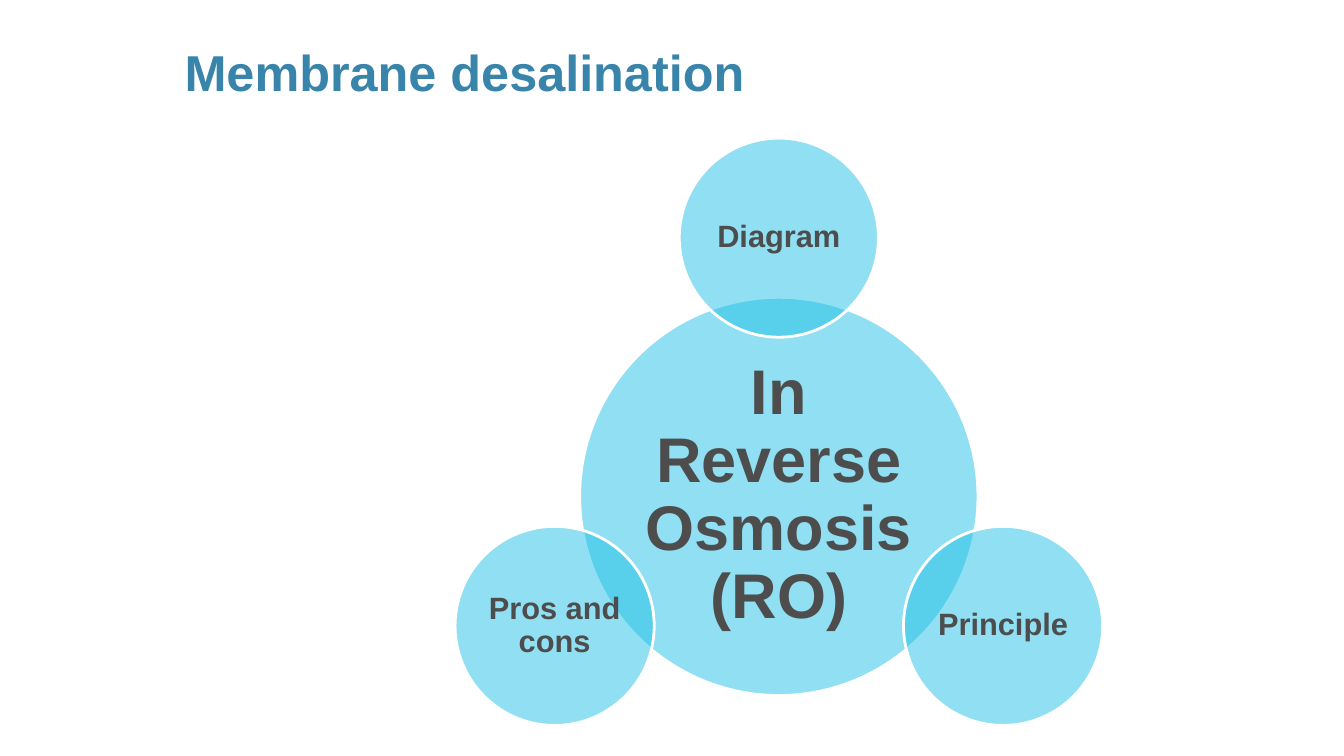
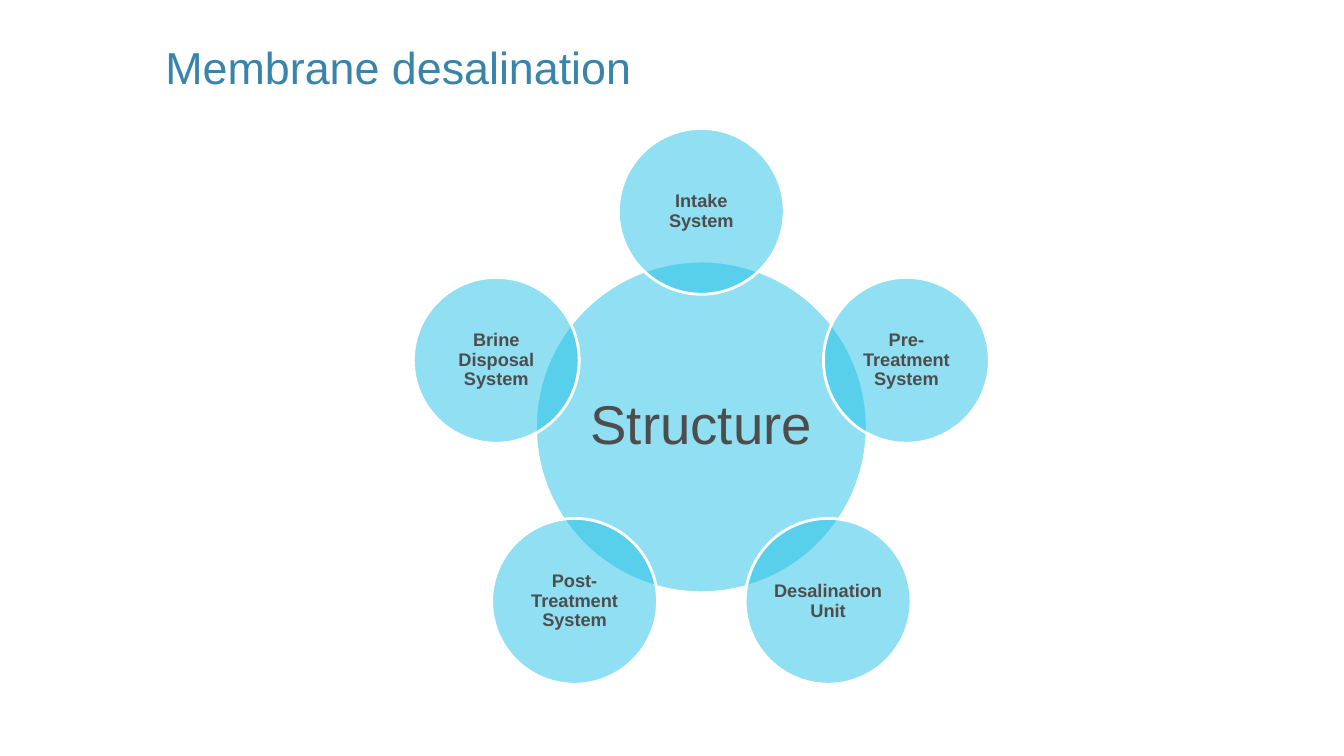
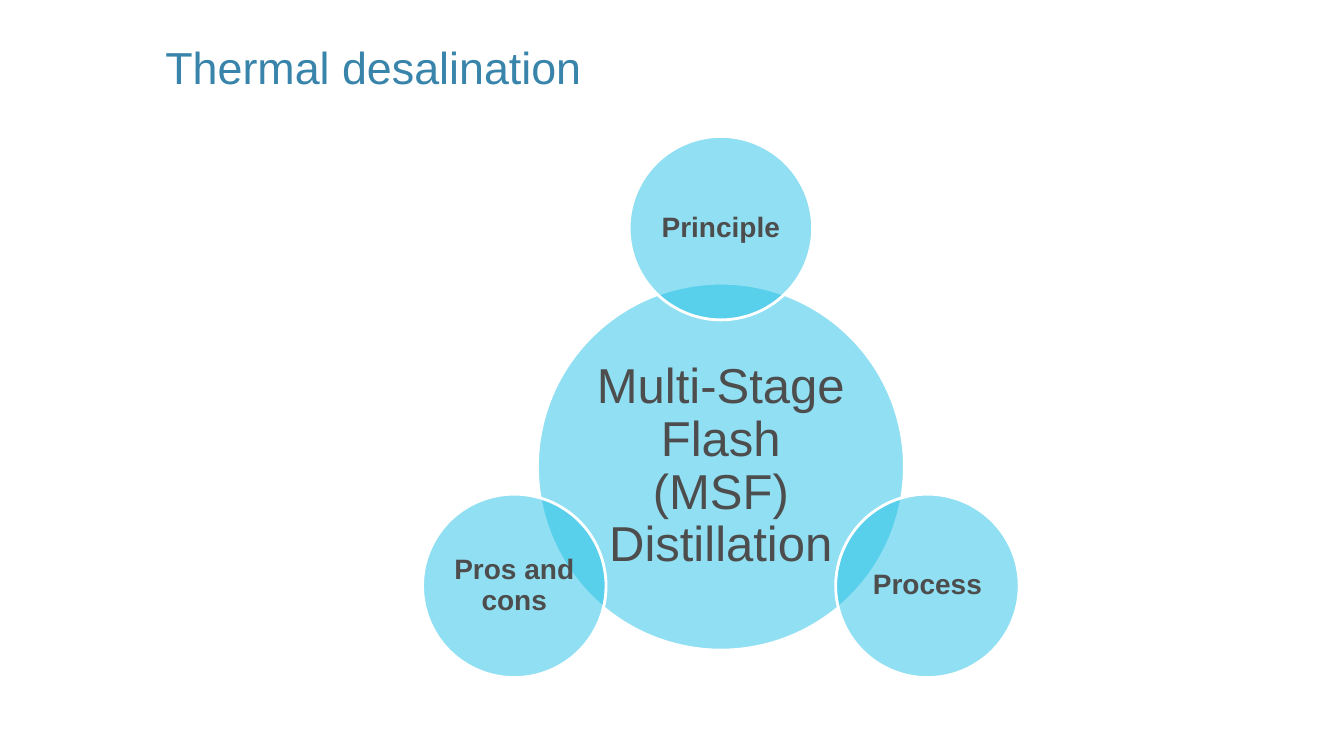
import math

from lxml import etree
from pptx import Presentation
from pptx.dml.color import RGBColor
from pptx.enum.shapes import MSO_SHAPE
from pptx.enum.text import MSO_ANCHOR, MSO_AUTO_SIZE, PP_ALIGN
from pptx.oxml.ns import qn
from pptx.util import Inches, Pt

ELLIPSE = MSO_SHAPE.OVAL
TOP, MIDDLE = MSO_ANCHOR.TOP, MSO_ANCHOR.MIDDLE
LEFT, CENTER = PP_ALIGN.LEFT, PP_ALIGN.CENTER
NO_FIT = MSO_AUTO_SIZE.NONE

COLORS = {"title": "3884AA", "circle": "22C1E6", "outline": "FFFFFF", "text": "4D4D4D"}
FONT = "Arial"
WIDTH, HEIGHT = Inches(13.33), Inches(7.5)
TITLE_ONLY = 5
OPACITY = 50           # percent
INSET_RATIO = 0.09     # circle margin as a share of the text size
ORBIT_RATIO = 0.65     # orbit radius as a share of the hub diameter
SATELLITE_RATIO = 0.5  # satellite diameter as a share of the hub diameter


class RadialDeck:
    """Holds the style and the current slide; lengths are percent of the slide."""

    def __init__(self):
        self.deck = Presentation()
        self.deck.slide_width, self.deck.slide_height = WIDTH, HEIGHT
        self.page = None

    def across(self, share):
        return round(WIDTH * share / 100)

    def down(self, share):
        return round(HEIGHT * share / 100)

    def add_page(self):
        self.page = self.deck.slides.add_slide(self.deck.slide_layouts[TITLE_ONLY])

    def set_text(self, shape, text, size, color, bold, align, anchor):
        frame = shape.text_frame
        frame.text = text
        frame.word_wrap = True
        frame.auto_size = NO_FIT
        frame.vertical_anchor = anchor
        para = frame.paragraphs[0]
        para.alignment = align
        font = para.font
        font.name, font.size, font.bold = FONT, Pt(size), bold
        font.color.rgb = RGBColor.from_string(COLORS[color])
        return frame

    def title(self, text, left=11.55, top=4.53, width=84.25, height=7.73,
              size=32, bold=False):
        box = self.page.shapes.title
        box.left, box.top = self.across(left), self.down(top)
        box.width, box.height = self.across(width), self.down(height)
        self.set_text(box, text, size, "title", bold, LEFT, TOP)

    def circle(self, text, center_x, center_y, diameter, size, bold):
        shape = self.page.shapes.add_shape(
            ELLIPSE, round(center_x - diameter / 2), round(center_y - diameter / 2),
            round(diameter), round(diameter))
        shape.shadow.inherit = False
        shape.fill.solid()
        shape.fill.fore_color.rgb = RGBColor.from_string(COLORS["circle"])
        # Transparency of the fill
        tint = shape.element.spPr.find(qn("a:solidFill")).find(qn("a:srgbClr"))
        etree.SubElement(tint, qn("a:alpha")).set("val", str(OPACITY * 1000))
        shape.line.color.rgb = RGBColor.from_string(COLORS["outline"])
        shape.line.width = Pt(2)
        frame = self.set_text(shape, text, size, "text", bold, CENTER, MIDDLE)
        frame.paragraphs[0].line_spacing = 0.9
        inset = Pt(size * INSET_RATIO)
        frame.margin_left = frame.margin_right = inset
        frame.margin_top = frame.margin_bottom = inset

    def radial(self, hub, center, diameter, hub_size, labels, label_size,
               hub_bold=False):
        """Hub circle with satellites spaced evenly, clockwise from the top."""
        center_x, center_y = self.across(center[0]), self.down(center[1])
        hub_width = self.down(diameter)
        self.circle(hub, center_x, center_y, hub_width, hub_size, hub_bold)
        orbit = hub_width * ORBIT_RATIO
        for index, label in enumerate(labels):
            angle = 2 * math.pi * index / len(labels)
            self.circle(label, center_x + orbit * math.sin(angle),
                        center_y - orbit * math.cos(angle),
                        hub_width * SATELLITE_RATIO, label_size, True)


def main():
    show = RadialDeck()

    # Reverse osmosis topics
    show.add_page()
    show.title("Membrane desalination", left=12.98, top=4.8, width=83.5,
               height=7.47, size=36, bold=True)
    show.radial("In Reverse Osmosis (RO)", (57.95, 65.67), 52.67, 45,
                ["Diagram", "Principle", "Pros and cons"], 22, hub_bold=True)

    # Plant structure
    show.add_page()
    show.title("Membrane desalination")
    show.radial("Structure", (52.18, 56.47), 43.87, 39,
                ["Intake System", "Pre-Treatment System", "Desalination Unit",
                 "Post-Treatment System", "Brine Disposal System"], 13)

    # Multi-stage flash topics
    show.add_page()
    show.title("Thermal desalination", height=9.87)
    show.radial("Multi-Stage Flash (MSF) Distillation", (53.64, 61.73), 48.53, 35,
                ["Principle", "Process", "Pros and cons"], 20)

    show.deck.save("out.pptx")


if __name__ == "__main__":
    main()
